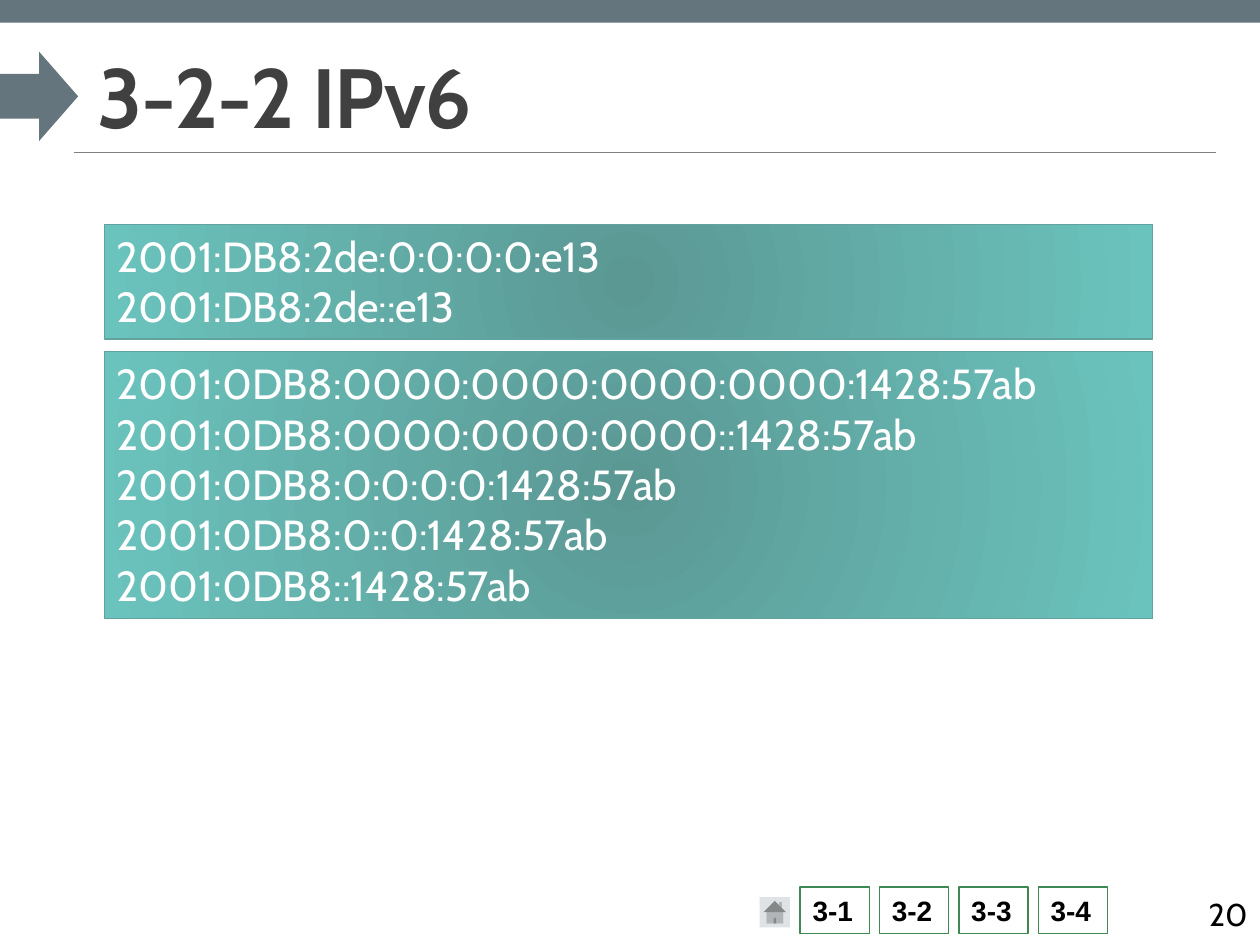
from lxml import etree
from pptx import Presentation
from pptx.dml.color import RGBColor
from pptx.enum import shapes, text
from pptx.oxml.ns import qn
from pptx.util import Inches, Pt

SLATE = RGBColor(0x65, 0x75, 0x7D)
GREY = RGBColor(0x80, 0x80, 0x80)
PALE = RGBColor(0xDF, 0xE3, 0xE5)
GREEN = RGBColor(0x3E, 0x88, 0x53)
DARK = RGBColor(0x40, 0x40, 0x40)
DEEP = RGBColor(0x5B, 0x98, 0x94)
TEAL = RGBColor(0x6B, 0xC3, 0xBD)
EDGE = RGBColor(0x62, 0xA3, 0x9F)
WHITE = RGBColor(0xFF, 0xFF, 0xFF)
BLACK = RGBColor(0, 0, 0)
KIND = shapes.MSO_SHAPE
LEFT, RIGHT = text.PP_ALIGN.LEFT, text.PP_ALIGN.RIGHT
TOP, MID, LOW = text.MSO_ANCHOR.TOP, text.MSO_ANCHOR.MIDDLE, text.MSO_ANCHOR.BOTTOM
GROW, FIXED = text.MSO_AUTO_SIZE.SHAPE_TO_FIT_TEXT, text.MSO_AUTO_SIZE.NONE


def inch(*box):
    """Turn numbers into inch lengths."""
    return [Inches(n) for n in box]


def put(item, form):
    """Set each attribute in a dict of format values."""
    for name, value in form.items():
        setattr(item, name, value)


def write(shape, lines, font, frame, para):
    """Fill a shape with one paragraph per line."""
    body = shape.text_frame
    body.text = "\n".join(lines)
    put(body, {"word_wrap": True, **frame})
    for part in body.paragraphs:
        put(part, para)
        put(part.runs[0].font, font)


def block(slide, kind, box, fill=None, edge=None, width=0):
    """Draw a flat preset shape."""
    shape = slide.shapes.add_shape(kind, *inch(*box))
    shape.shadow.inherit = False
    if fill is not None:
        shape.fill.solid()
        shape.fill.fore_color.rgb = fill
    if edge is None:
        shape.line.fill.background()
    else:
        shape.line.color.rgb = edge
        shape.line.width = Pt(width)
    return shape


def glow(shape):
    """Give a shape a round gradient from its centre."""
    shape.fill.gradient()
    for stop, color, place in zip(shape.fill.gradient_stops, (DEEP, TEAL), (0, 1)):
        stop.color.rgb = color
        stop.position = place
    grad = shape.element.spPr.find(qn("a:gradFill"))
    grad.remove(grad.find(qn("a:lin")))
    ring = etree.SubElement(grad, qn("a:path"), {"path": "circle"})
    etree.SubElement(ring, qn("a:fillToRect"), {side: "100000" for side in "ltrb"})


def header(slide, x, y, w):
    """Draw the top band, arrow, rule and title."""
    rule = slide.shapes.add_connector(
        shapes.MSO_CONNECTOR.STRAIGHT, *inch(x + 0.59, y + 1.21, x + w - 0.35, y + 1.21))
    rule.line.color.rgb = GREY
    rule.line.width = Pt(0.5)
    etree.SubElement(rule.element.spPr, qn("a:effectLst"))
    block(slide, KIND.RECTANGLE, (x, y, w, 0.18), SLATE)
    block(slide, KIND.RIGHT_ARROW, (x, y + 0.41, 0.62, 0.71), SLATE)
    title = slide.shapes.title
    put(title, dict(zip(("left", "top", "width", "height"),
                        inch(x + 0.67, y + 0.31, w - 1.02, 0.9))))
    write(title, ["3-2-2 IPv6"],
          {"size": Pt(48), "name": "Cabin", "bold": True},
          {"vertical_anchor": LOW, "auto_size": FIXED},
          {"alignment": LEFT, "line_spacing": 0.85})
    run = title.text_frame.paragraphs[0].runs[0]
    run.font.color.rgb = DARK
    run.font._element.set("spc", "-50")


def panel(slide, box, lines):
    """Draw a teal panel of addresses."""
    shape = block(slide, KIND.RECTANGLE, box, edge=EDGE, width=0.75)
    glow(shape)
    write(shape, lines, {"size": Pt(24), "name": "Cabin"},
          {"vertical_anchor": TOP, "auto_size": GROW}, {"alignment": LEFT})
    for part in shape.text_frame.paragraphs:
        part.runs[0].font.color.rgb = WHITE


def footer(slide, x, y):
    """Draw the home button, section buttons and page number."""
    block(slide, KIND.ACTION_BUTTON_HOME, (x, y + 0.08, 0.24, 0.24), PALE)
    for i in range(4):
        key = block(slide, KIND.RECTANGLE, (x + 0.32 + i * 0.63, y, 0.55, 0.37),
                    WHITE, GREEN, 0.85)
        write(key, [f"3-{i + 1}"], {"size": Pt(16), "name": "Arial", "bold": True},
              {"vertical_anchor": TOP, "auto_size": GROW}, {"alignment": LEFT})
        key.text_frame.paragraphs[0].runs[0].font.color.rgb = BLACK
    page = slide.shapes.add_textbox(*inch(x + 2.89, y + 0.01, 1.08, 0.4))
    write(page, ["20"], {"size": Pt(18), "name": "Cabin"},
          {"vertical_anchor": MID}, {"alignment": RIGHT})
    page.text_frame.paragraphs[0].runs[0].font.color.rgb = BLACK


def main():
    """Build and save the slide."""
    deck = Presentation()
    deck.slide_width, deck.slide_height = inch(10, 7.5)
    slide = deck.slides.add_slide(deck.slide_layouts[5])
    header(slide, 0, 0, 10)
    panel(slide, (0.83, 1.78, 8.32, 0.91),
          ["2001:DB8:2de:0:0:0:0:e13", "2001:DB8:2de::e13"])
    panel(slide, (0.83, 2.79, 8.32, 2.12),
          ["2001:0DB8:0000:0000:0000:0000:1428:57ab",
           "2001:0DB8:0000:0000:0000::1428:57ab",
           "2001:0DB8:0:0:0:0:1428:57ab",
           "2001:0DB8:0::0:1428:57ab",
           "2001:0DB8::1428:57ab"])
    footer(slide, 6.03, 7.04)
    deck.save("out.pptx")


if __name__ == "__main__":
    main()
